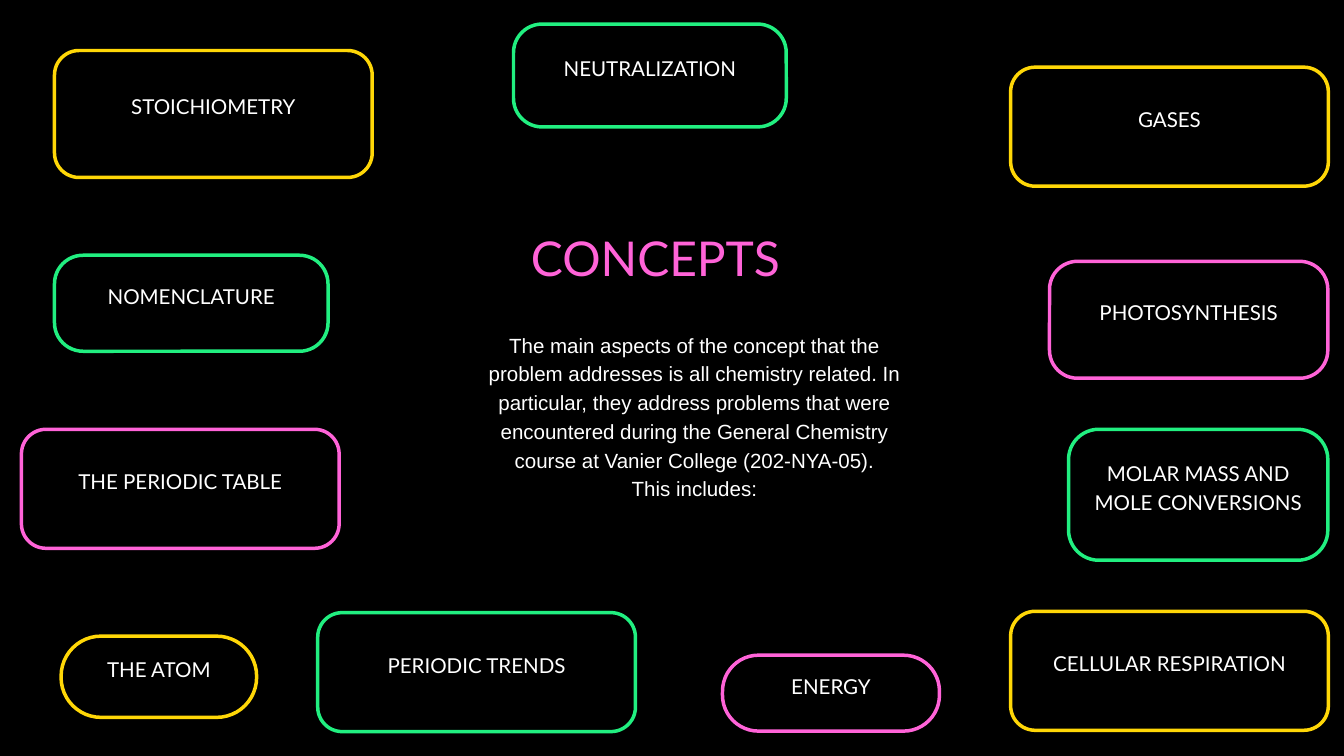
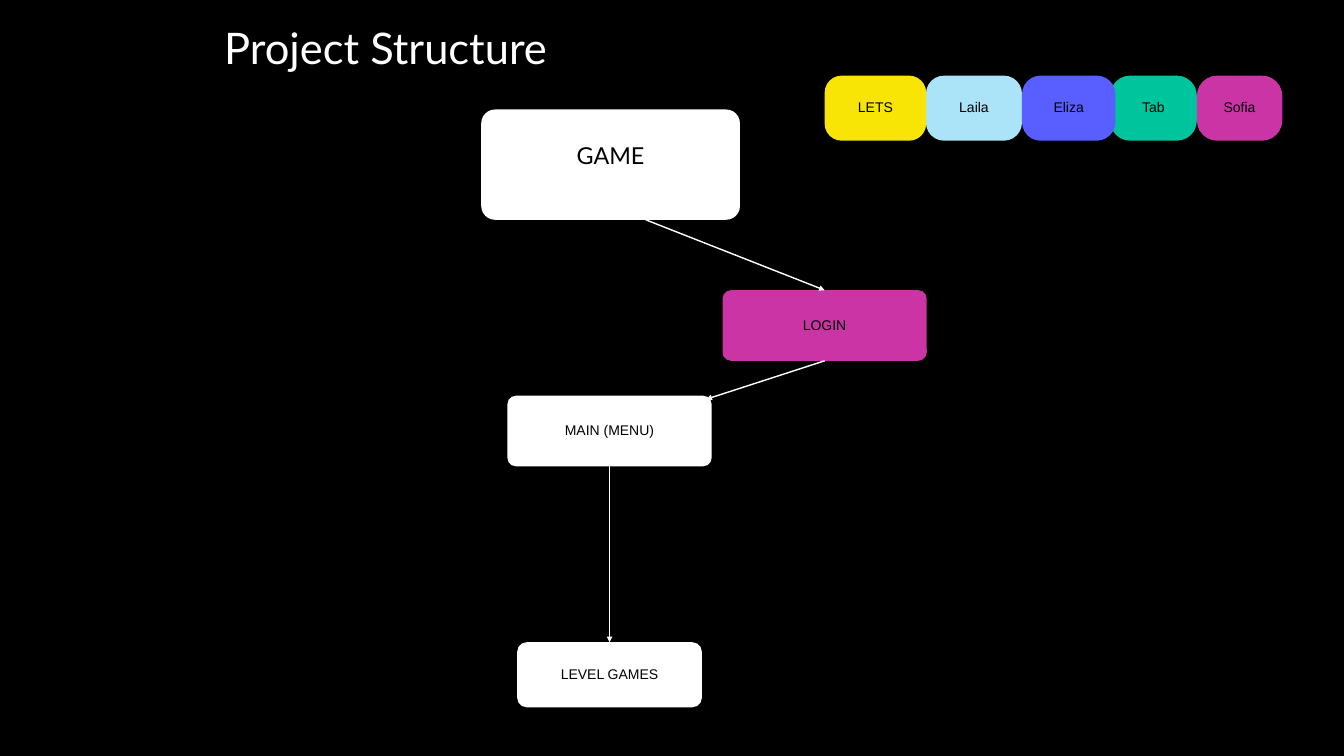
"""Build two chemistry-game slides: the concept map and the project structure."""
import pptx
import pptx.util
import pptx.dml.color
import pptx.enum.shapes
import pptx.enum.text
import pptx.oxml
import pptx.oxml.ns

Cm = pptx.util.Cm
Pt = pptx.util.Pt
RGBColor = pptx.dml.color.RGBColor
SHAPE = pptx.enum.shapes.MSO_SHAPE
STRAIGHT = pptx.enum.shapes.MSO_CONNECTOR.STRAIGHT
ALIGN = pptx.enum.text.PP_ALIGN
ANCHOR = pptx.enum.text.MSO_ANCHOR

BLACK = RGBColor(0x00, 0x00, 0x00)
WHITE = RGBColor(0xFF, 0xFF, 0xFF)
GREEN = RGBColor(0x21, 0xEF, 0x80)
YELLOW = RGBColor(0xFF, 0xD7, 0x07)
PINK = RGBColor(0xFF, 0x63, 0xD8)
MAGENTA = RGBColor(0xCB, 0x34, 0xA5)
TEAL = RGBColor(0x00, 0xC4, 0x9C)
SKY = RGBColor(0xAB, 0xE3, 0xF9)
INDIGO = RGBColor(0x58, 0x5E, 0xFF)
LEMON = RGBColor(0xF8, 0xE5, 0x05)

CONCEPT = {"name": "Lato", "size": 22, "spacing": 30.8, "color": WHITE}
BODY = {"name": "Arial", "size": 22, "spacing": 30.8, "color": WHITE}
HEADING = {"name": "Lato", "size": 51.4, "spacing": 57.6, "color": PINK}
TITLE = {"name": "Lato", "size": 46.6, "spacing": 55.9, "color": WHITE}
GAME = {"name": "Lato", "size": 25, "spacing": 35, "color": BLACK}
NODE = {"name": "Arial", "size": 15, "spacing": 21, "color": BLACK}

CONCEPTS = [
    ("NOMENCLATURE", GREEN, (2.06, 9.65, 10.34, 3.63)),
    ("STOICHIOMETRY", YELLOW, (2.06, 1.91, 12.01, 4.8)),
    ("THE ATOM", YELLOW, (2.31, 24.05, 7.39, 3.07)),
    ("THE PERIODIC TABLE", PINK, (0.81, 16.23, 12.01, 4.5)),
    ("PHOTOSYNTHESIS", PINK, (39.67, 9.88, 10.52, 4.42)),
    ("NEUTRALIZATION", GREEN, (19.41, 0.91, 10.31, 3.89)),
    ("CELLULAR RESPIRATION", YELLOW, (38.2, 23.11, 12.01, 4.5)),
    ("ENERGY", PINK, (27.31, 24.77, 8.2, 2.87)),
    ("MOLAR MASS AND MOLE CONVERSIONS", GREEN, (40.39, 16.23, 9.8, 4.95)),
    ("PERIODIC TRENDS", GREEN, (12.01, 23.16, 12.01, 4.5)),
    ("GASES", YELLOW, (38.2, 2.54, 12.01, 4.5)),
]
MEMBERS = [
    ("Tab", TEAL, 41.96, 3.28),
    ("Laila", SKY, 35, 3.63),
    ("Eliza", INDIGO, 38.63, 3.53),
    ("Sofia", MAGENTA, 45.24, 3.23),
    ("LETS", LEMON, 31.17, 3.84),
]
ABOUT = [
    "The main aspects of the concept that the problem addresses is all "
    "chemistry related. In particular, they address problems that were "
    "encountered during the General Chemistry course at Vanier College "
    "(202-NYA-05).",
    "This includes:",
]


class Deck:
    """Hold the shared style and the current slide."""

    def __init__(self):
        """Start an empty wide presentation."""
        self.prs = pptx.Presentation()
        self.prs.slide_width, self.prs.slide_height = Cm(50.8), Cm(28.58)
        self.s = None

    def slide(self):
        """Add a black slide and make it current."""
        self.s = self.prs.slides.add_slide(self.prs.slide_layouts[6])
        self.s.background.fill.solid()
        self.s.background.fill.fore_color.rgb = BLACK

    def set_text(self, tf, lines, style, align, anchor, insets):
        """Fill a text frame with one paragraph per line."""
        frame = {"word_wrap": True, "vertical_anchor": anchor}
        sides = ("margin_left", "margin_top", "margin_right", "margin_bottom")
        frame.update(zip(sides, map(Cm, insets)))
        for key, value in frame.items():
            setattr(tf, key, value)
        for i, line in enumerate(lines):
            p = tf.add_paragraph() if i else tf.paragraphs[0]
            p.alignment = align
            p.line_spacing = Pt(style["spacing"])
            r = p.add_run()
            r.text = line
            for key, value in {"name": style["name"], "size": Pt(style["size"])}.items():
                setattr(r.font, key, value)
            r.font.color.rgb = style["color"]

    def text(self, lines, box, style, align=ALIGN.CENTER):
        """Add a text box without insets."""
        sp = self.s.shapes.add_textbox(*map(Cm, box))
        self.set_text(sp.text_frame, lines, style, align, ANCHOR.TOP, (0, 0, 0, 0))

    def box(self, label, box, style, fill, curve, lift, outline=None):
        """Add a rounded box whose corner radius is curve over its width."""
        sp = self.s.shapes.add_shape(SHAPE.ROUNDED_RECTANGLE, *map(Cm, box))
        sp.shadow.inherit = False
        width, height = box[2:]
        sp.adjustments[0] = min(0.5, curve / width / min(width, height))
        sp.fill.solid()
        sp.fill.fore_color.rgb = fill
        if outline is None:
            sp.line.fill.background()
        else:
            sp.line.color.rgb = outline
            sp.line.width = Pt(3.75)
        self.set_text(sp.text_frame, [label], style, ALIGN.CENTER, ANCHOR.MIDDLE,
                      (0.25, 0, 0.25, lift))
        return sp

    def arrow(self, start, end, source=None, target=None):
        """Add a white arrow, joined to a source's bottom or a target's top."""
        c = self.s.shapes.add_connector(STRAIGHT, *map(Cm, start + end))
        if source is not None:
            c.begin_connect(source, 2)
        if target is not None:
            c.end_connect(target, 0)
        c.line.color.rgb = WHITE
        c.line.width = Pt(1.5)
        ns = pptx.oxml.ns.nsdecls("a")
        ln = c.element.spPr.find(pptx.oxml.ns.qn("a:ln"))
        ln.append(pptx.oxml.parse_xml(f'<a:tailEnd {ns} type="triangle"/>'))
        c.element.spPr.append(pptx.oxml.parse_xml(f"<a:effectLst {ns}/>"))


def concept_map(deck):
    """Build the slide of chemistry concepts."""
    deck.slide()
    deck.text(ABOUT, (17.81, 12.42, 16.87, 9.7), BODY)
    deck.text(["CONCEPTS"], (20.07, 8.79, 12.4, 2.16), HEADING, ALIGN.LEFT)
    for label, color, box in CONCEPTS:
        deck.box(label, box, CONCEPT, BLACK, 11.15, 0.7, color)


def project_structure(deck):
    """Build the slide of game screens and team colours."""
    deck.slide()
    deck.text(["Project Structure"], (1.85, 0.79, 25.45, 2.08), TITLE)
    deck.box("GAME", (18.19, 4.14, 9.78, 4.17), GAME, WHITE, 5.1, 0.91)
    node = {"style": NODE, "curve": 2.48, "lift": 0.18}
    levels = deck.box("LEVEL GAMES", (19.55, 24.28, 6.98, 2.46), fill=WHITE, **node)
    menu = deck.box("MAIN (MENU)", (19.18, 14.96, 7.72, 2.67), fill=WHITE, **node)
    login = deck.box("LOGIN", (27.31, 10.97, 7.72, 2.67), fill=MAGENTA, **node)
    deck.arrow((24.41, 8.31), (31.17, 10.97), target=login)
    deck.arrow((31.17, 13.64), (26.7, 15.09), source=login)
    deck.arrow((23.04, 17.63), (23.04, 24.28), source=menu, target=levels)
    for name, color, left, width in MEMBERS:
        deck.box(name, (left, 2.86, width, 2.46), fill=color, **node)


def main():
    """Build and save the deck."""
    deck = Deck()
    concept_map(deck)
    project_structure(deck)
    deck.prs.save("out.pptx")


if __name__ == "__main__":
    main()
